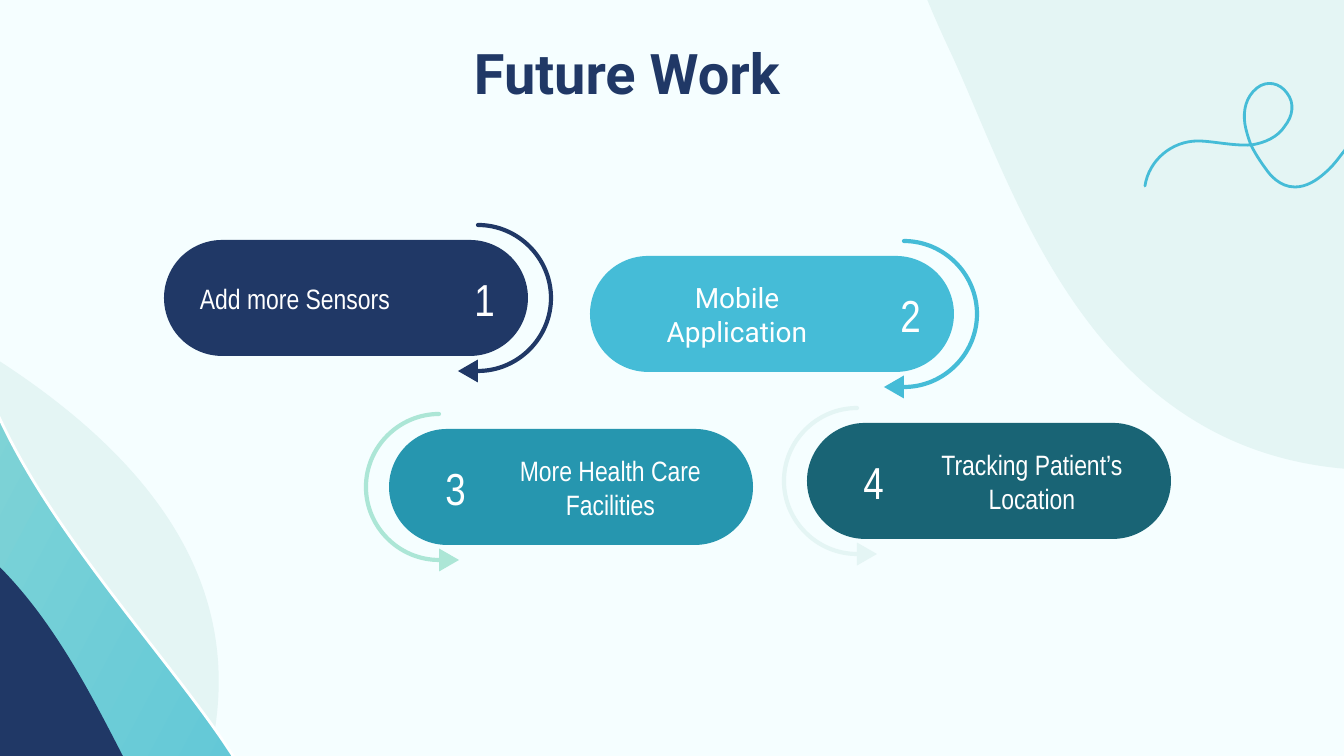
from itertools import chain

from lxml.etree import Element
from pptx import Presentation
from pptx.dml.color import RGBColor
from pptx.enum.shapes import MSO_SHAPE as Preset
from pptx.enum.text import MSO_ANCHOR as Anchor, PP_ALIGN as Align
from pptx.oxml.ns import qn
from pptx.util import Pt

PX = 914400 / 134.4
SLIDE_W, SLIDE_H = 1344, 756
PILL_W, PILL_H = 364, 116

COLORS = {
    "background": "F5FEFF",
    "mist": "E4F5F4",
    "navy": "203866",
    "sky": "45BCD7",
    "mint": "ACE6D6",
    "teal": "2696AF",
    "pine": "196475",
    "white": "FFFFFF",
}


def emu(*lengths):
    return [round(length * PX) for length in lengths]


def rgb(name):
    return RGBColor.from_string(COLORS[name])


def add_curve(shapes, start, segments, closed=True):
    """Outline in px: a segment of three points is a Bézier, of one a straight line."""
    builder = shapes.build_freeform(*start, scale=PX)
    builder.add_line_segments(list(chain.from_iterable(segments)), close=closed)
    shape = builder.convert_to_shape()
    shape.shadow.inherit = False
    lines = iter(list(shape._element.iter(qn("a:lnTo"))))
    for segment in segments:
        steps = [next(lines) for _ in segment]
        if len(steps) == 3:
            bezier = Element(qn("a:cubicBezTo"))
            steps[0].addprevious(bezier)
            for step in steps:
                bezier.append(step[0])
                step.getparent().remove(step)
    return shape


def add_blob(shapes, color, start, segments):
    blob = add_curve(shapes, start, segments)
    blob.fill.solid()
    blob.fill.fore_color.rgb = rgb(color)
    blob.line.fill.background()


def add_stroke(shapes, color, width, start, segments):
    stroke = add_curve(shapes, start, segments, closed=False)
    stroke.fill.background()
    stroke.line.color.rgb = rgb(color)
    stroke.line.width = Pt(width)
    stroke._element.spPr.find(qn("a:ln")).set("cap", "rnd")


def add_preset(shapes, preset, box, color):
    shape = shapes.add_shape(preset, *emu(*box))
    shape.shadow.inherit = False
    shape.fill.solid()
    shape.fill.fore_color.rgb = rgb(color)
    shape.line.fill.background()
    return shape


def add_text(shapes, box, text, size, font, color="white", align=Align.CENTER, bold=False):
    frame = shapes.add_textbox(*emu(*box)).text_frame
    frame.word_wrap = True
    paragraph = frame.paragraphs[0]
    paragraph.text = text
    paragraph.alignment = align
    paragraph.font.size = Pt(size)
    paragraph.font.name = font
    paragraph.font.bold = bold
    paragraph.font.color.rgb = rgb(color)
    return frame


def add_pill_text(shapes, box, *args, **kwargs):
    frame = add_text(shapes, box, *args, **kwargs)
    frame.vertical_anchor = Anchor.MIDDLE
    frame.margin_top = frame.margin_bottom = frame.margin_left


def add_left_waves(shapes):
    add_blob(shapes, "mist", (-364, 233), [
        [(-331, 212), (-259, 226), (-132, 288)],
        [(430, 559), (169, 860), (82, 1015)],
        [(31, 1105), (-52, 1202), (-132, 1247)],
        [(-187, 1279), (-239, 1286), (-277, 1249)],
        [(-371, 1150), (-339, 1056), (-300, 982)],
        [(-185, 755), (-482, 301), (-364, 233)],
    ])
    ribbon = add_curve(shapes, (-31, 274), [
        [(-23, 200), (-26, 113), (-133, 62)],
        [(-237, 15), (-332, 214), (-356, 367)],
        [(-379, 521), (-500, 852), (50, 899)],
        [(598, 948), (-62, 563), (-31, 274)],
    ])
    ribbon.fill.gradient()
    ribbon.fill.gradient_angle = 332
    for stop, color in zip(ribbon.fill.gradient_stops, ("mint", "sky")):
        stop.color.rgb = rgb(color)
    ribbon.line.color.rgb = rgb("white")
    ribbon.line.width = Pt(1.5)
    add_blob(shapes, "navy", (218, 1130), [
        [(210, 1145), (198, 1156), (179, 1160)],
        [(79, 1179), (27, 1110), (-12, 1047)],
        [(-138, 837), (-618, 843), (-543, 694)],
        [(-528, 665), (-493, 630), (-433, 589)],
        [(-51, 324), (66, 656), (142, 792)],
        [(204, 903), (257, 1061), (218, 1130)],
    ])


def add_right_corner(shapes):
    add_blob(shapes, "mist", (1347, 469), [
        [(1085, 448), (1012, 183), (950, 51)],
        [(942, 34), (934, 16), (927, -1)],
        [(1347, -1)],
    ])
    add_stroke(shapes, "sky", 1.5, (1145, 186), [
        [(1149, 160), (1172, 141), (1198, 141)],
        [(1212, 141), (1233, 146), (1251, 145)],
        [(1265, 143), (1278, 137), (1285, 126)],
        [(1293, 116), (1295, 103), (1287, 93)],
        [(1280, 83), (1267, 80), (1257, 88)],
        [(1246, 97), (1243, 110), (1245, 124)],
        [(1246, 130), (1248, 137), (1251, 145)],
        [(1255, 153), (1260, 161), (1266, 169)],
        [(1270, 175), (1280, 187), (1295, 187)],
        [(1306, 187), (1316, 181), (1325, 173)],
        [(1336, 164), (1343, 151), (1353, 141)],
        [(1362, 133), (1376, 125), (1390, 130)],
        [(1402, 136), (1407, 148), (1410, 159)],
        [(1413, 171), (1415, 184), (1422, 195)],
        [(1430, 205), (1441, 210), (1453, 210)],
        [(1465, 208), (1476, 203), (1484, 194)],
        [(1492, 183), (1495, 170), (1501, 159)],
        [(1508, 147), (1518, 138), (1531, 134)],
        [(1550, 132), (1570, 140), (1579, 157)],
    ])


def add_card(shapes, left, top, number, label, pill, arrow, side, label_left, label_w,
             font="Arial Narrow"):
    """Pill whose number and curved arrow sit at its right end (side 1) or left end (side -1)."""
    radius, pull = 73, 40
    head_w, head_h = 23, 20
    middle = left + PILL_W / 2
    arc_x, arc_y = middle + side * 132, top + PILL_H / 2
    arc_top, arc_bottom = arc_y - radius, arc_y + radius
    edge = arc_x + side * radius

    body = add_preset(shapes, Preset.ROUNDED_RECTANGLE, (left, top, PILL_W, PILL_H), pill)
    body.adjustments[0] = 0.5
    add_pill_text(shapes, (left + label_left, top + 19, label_w, 79), label, 15, font)
    add_pill_text(shapes, (middle + side * 127 - 35, top + 27, 70, 63), number, 24,
                  "Arial Narrow", align=Align.RIGHT)
    add_stroke(shapes, arrow, 2.25, (arc_x, arc_top), [
        [(arc_x + side * pull, arc_top), (edge, arc_y - pull), (edge, arc_y)],
        [(edge, arc_y + pull), (arc_x + side * pull, arc_bottom), (arc_x, arc_bottom)],
    ])
    head_x = arc_x - side * head_h / 2
    head = add_preset(shapes, Preset.ISOSCELES_TRIANGLE,
                      (head_x - head_w / 2, arc_bottom - head_h / 2, head_w, head_h), arrow)
    head.rotation = 270 if side > 0 else 90


def main():
    deck = Presentation()
    deck.slide_width, deck.slide_height = emu(SLIDE_W, SLIDE_H)
    slide = deck.slides.add_slide(deck.slide_layouts[6])
    slide.background.fill.solid()
    slide.background.fill.fore_color.rgb = rgb("background")
    shapes = slide.shapes

    add_left_waves(shapes)
    add_right_corner(shapes)
    add_text(shapes, (132, 32, 990, 82), "Future Work", 30, "Roboto", "navy", bold=True)
    add_card(shapes, 164, 240, "1", "Add more Sensors", "navy", "navy", 1, 0, 262)
    add_card(shapes, 389, 429, "3", "More Health Care Facilities", "teal", "mint", -1, 98, 247)
    add_card(shapes, 807, 423, "4", "Tracking Patient’s Location", "pine", "mist", -1, 98, 254)
    add_card(shapes, 590, 256, "2", "Mobile Application", "sky", "sky", 1, 21, 252, "Roboto")
    deck.save("out.pptx")


if __name__ == "__main__":
    main()
